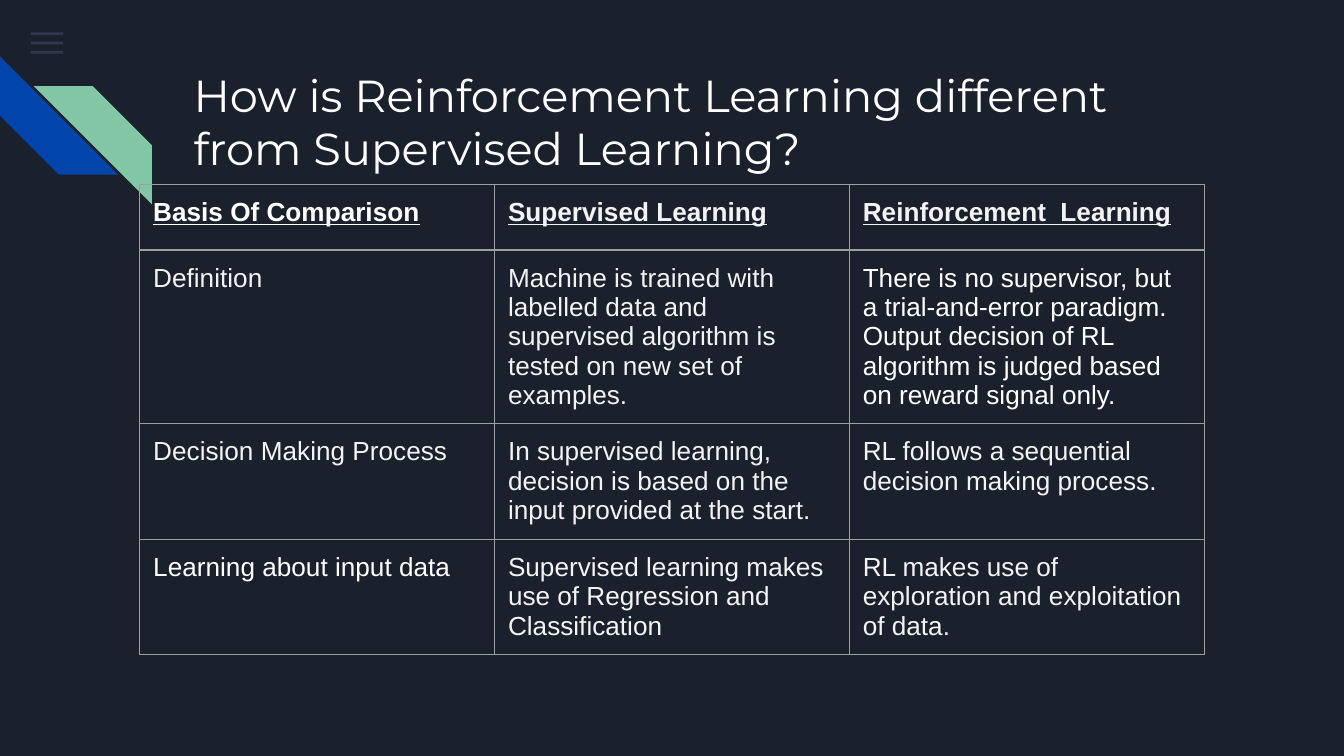
from lxml.etree import SubElement
from pptx import Presentation
from pptx.dml.color import RGBColor
from pptx.enum.shapes import MSO_SHAPE
from pptx.enum.text import MSO_ANCHOR, PP_ALIGN
from pptx.oxml import parse_xml
from pptx.oxml.ns import nsdecls, qn
from pptx.util import Inches, Pt

COLORS = {
    "background": "1B212C",
    "menu": "55688B",
    "blue": "0145AC",
    "green": "82C7A5",
    "white": "FFFFFF",
    "off_white": "F3F3F3",
    "border": "9E9E9E",
}

# Each cell is its text and its colour
ROWS = [
    [("Basis Of Comparison", "white"),
     ("Supervised Learning", "off_white"),
     ("Reinforcement  Learning", "off_white")],
    [("Definition", "off_white"),
     ("Machine is trained with labelled data and supervised algorithm is "
      "tested on new set of examples.", "off_white"),
     ("There is no supervisor, but a trial-and-error paradigm. Output decision "
      "of RL algorithm is judged based on reward signal only.", "white")],
    [("Decision Making Process", "off_white"),
     ("In supervised learning, decision is based on the input provided at "
      "the start.", "off_white"),
     ("RL follows a sequential decision making process.", "off_white")],
    [("Learning about input data", "white"),
     ("Supervised learning makes use of Regression and Classification",
      "off_white"),
     ("RL makes use of exploration and exploitation of data.", "off_white")],
]
ROW_HEIGHTS = [0.49, 1.29, 0.86, 0.86]
COL_WIDTH = 2.64


def rgb(name):
    return RGBColor.from_string(COLORS[name])


def add_text(tf, text, *, size, font, color, bold=False, underline=False):
    tf.word_wrap = True
    p = tf.paragraphs[0]
    p.alignment = PP_ALIGN.LEFT
    r = p.add_run()
    r.text = text
    r.font.size = Pt(size)
    r.font.name = font
    r.font.bold = bold
    r.font.underline = underline
    r.font.color.rgb = rgb(color)


def set_insets(box):
    """Give a text frame or a table cell equal margins."""
    box.margin_left = box.margin_right = Inches(0.1)
    box.margin_top = box.margin_bottom = Inches(0.1)


def add_block(s, kind, x, y, w, h, color, alpha=None):
    sp = s.shapes.add_shape(kind, Inches(x), Inches(y), Inches(w), Inches(h))
    sp.shadow.inherit = False
    sp.fill.solid()
    sp.fill.fore_color.rgb = rgb(color)
    sp.line.fill.background()
    if alpha is not None:
        clr = sp._element.spPr.find(qn("a:solidFill"))[0]
        SubElement(clr, qn("a:alpha"), val=str(alpha * 1000))
    return sp


def add_decoration(s):
    # Menu icon
    for i in range(3):
        add_block(s, MSO_SHAPE.RECTANGLE, 0.23, 0.24 + 0.07 * i, 0.24, 0.02,
                  "menu", alpha=36)
    # Diagonal stripes
    blue = add_block(s, MSO_SHAPE.DIAGONAL_STRIPE, 0, 0.42, 0.88, 0.88, "blue")
    blue.rotation = 270
    green = add_block(s, MSO_SHAPE.DIAGONAL_STRIPE, 0.25, 0.64, 0.88, 0.88, "green")
    green._element.spPr.find(qn("a:xfrm")).set("flipH", "1")


def add_title(s, text):
    sp = s.shapes.title
    sp.left, sp.top = Inches(1.34), Inches(0.4)
    sp.width, sp.height = Inches(7.7), Inches(1.04)
    tf = sp.text_frame
    set_insets(tf)
    tf.vertical_anchor = MSO_ANCHOR.TOP
    add_text(tf, text, size=24, font="Montserrat", color="white")


def set_borders(cell):
    tcPr = cell._tc.get_or_add_tcPr()
    for i, side in enumerate(("lnL", "lnR", "lnT", "lnB")):
        tcPr.insert(i, parse_xml(
            f'<a:{side} {nsdecls("a")} w="{Pt(0.75)}"><a:solidFill>'
            f'<a:srgbClr val="{COLORS["border"]}"/></a:solidFill></a:{side}>'))


def add_comparison_table(s):
    n_cols = len(ROWS[0])
    table = s.shapes.add_table(
        len(ROWS), n_cols, Inches(1.04), Inches(1.37),
        Inches(COL_WIDTH * n_cols), Inches(sum(ROW_HEIGHTS))).table
    table.first_row = table.horz_banding = False
    for col in table.columns:
        col.width = Inches(COL_WIDTH)
    for i, (row, height) in enumerate(zip(ROWS, ROW_HEIGHTS)):
        table.rows[i].height = Inches(height)
        for j, (text, color) in enumerate(row):
            cell = table.cell(i, j)
            set_insets(cell)
            cell.fill.background()
            set_borders(cell)
            add_text(cell.text_frame, text, size=14, font="Arial", color=color,
                     bold=i == 0, underline=i == 0)


def main():
    prs = Presentation()
    # Widescreen, 16:9
    prs.slide_width = Inches(10)
    prs.slide_height = Inches(10 * 9 / 16)
    s = prs.slides.add_slide(prs.slide_layouts[5])
    s.background.fill.solid()
    s.background.fill.fore_color.rgb = rgb("background")
    add_decoration(s)
    add_title(s, "How is Reinforcement Learning different from Supervised Learning?")
    add_comparison_table(s)
    prs.save("out.pptx")


if __name__ == "__main__":
    main()
